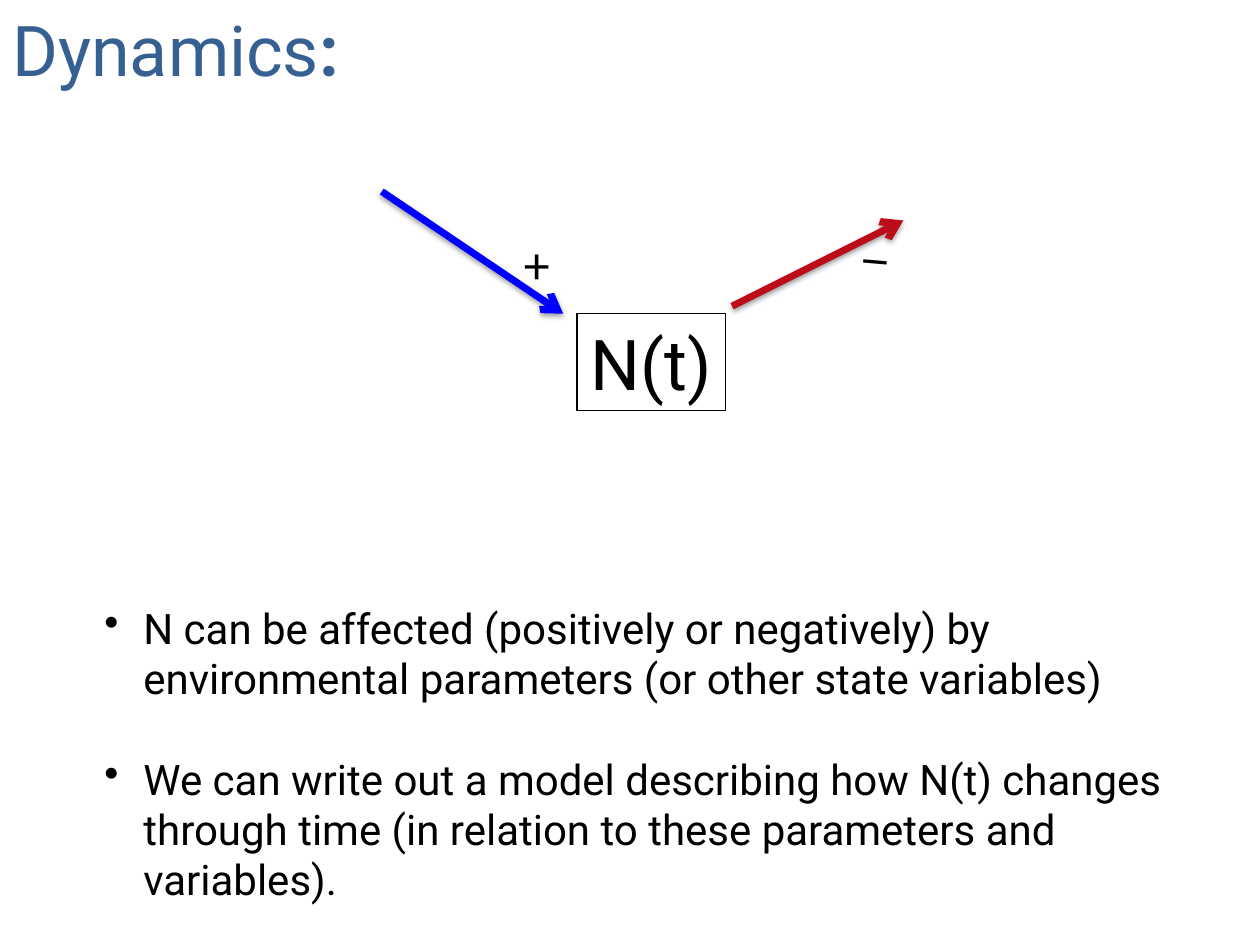
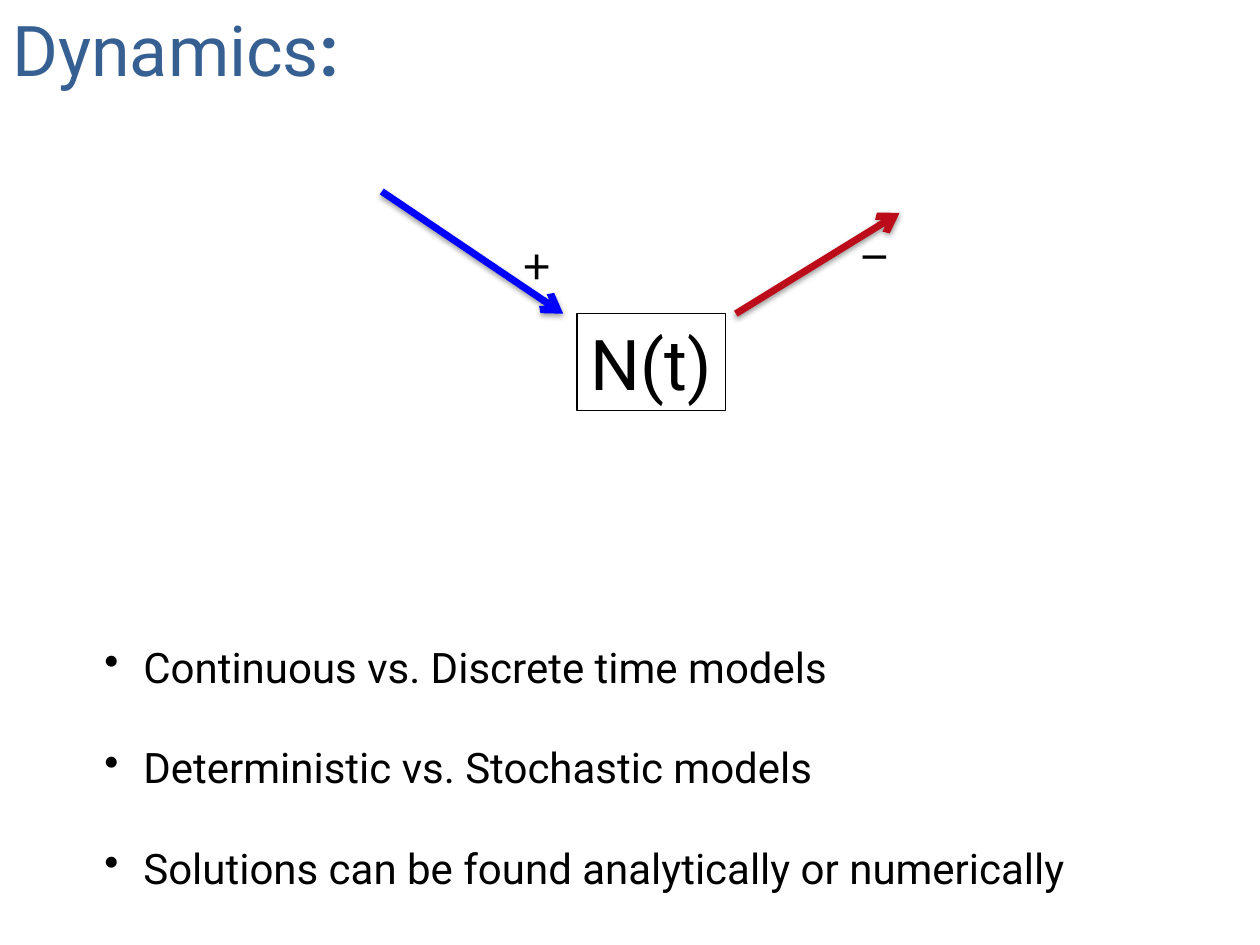
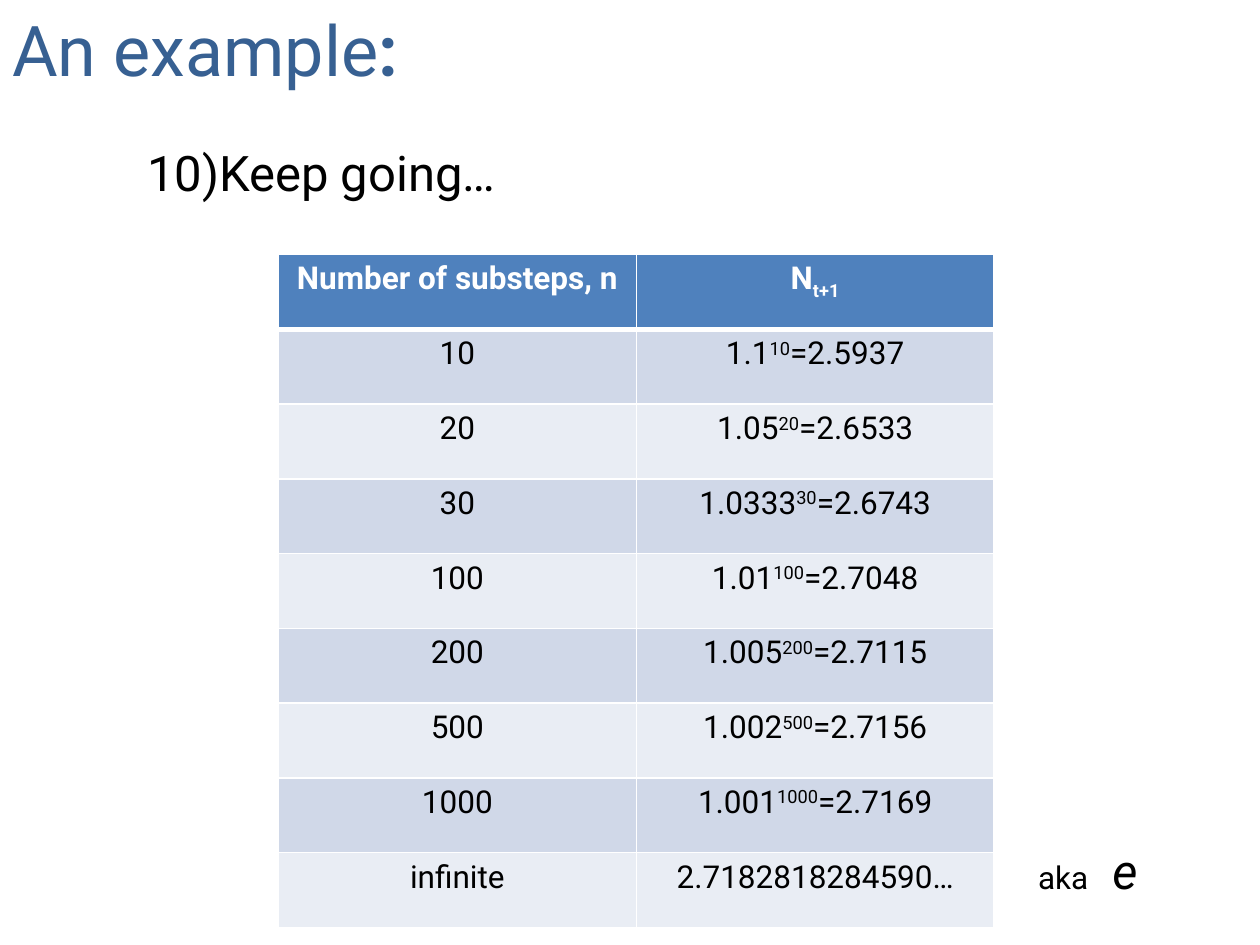
from dataclasses import dataclass

from lxml import etree
from pptx import Presentation
from pptx import util as u
from pptx.dml.color import RGBColor
from pptx.enum import shapes, text
from pptx.oxml import ns

PX = 9144


@dataclass(frozen=True)
class Theme:
    font: str = "Roboto"
    sign_font: str = "Noto Sans CJK JP"
    heading: str = "376092"
    ink: str = "000000"
    paper: str = "FFFFFF"
    gain: str = "0000FF"
    loss: str = "BD0C19"
    header: str = "4F81BD"
    bands: tuple[str, str] = ("D0D8E8", "E9EDF4")
    title_size: int = 40
    step_size: int = 28
    body_size: int = 24
    table_size: int = 18
    body_gap: float = 28.7


THEME = Theme()


@dataclass(frozen=True)
class Area:
    left: int
    top: int
    width: int
    height: int

    def emu(self) -> list[int]:
        return [px * PX for px in (self.left, self.top, self.width, self.height)]


@dataclass(frozen=True)
class Span:
    text: str
    baseline: int = 0
    bold: bool | None = None
    italic: bool | None = None
    size: int | None = None


@dataclass(frozen=True)
class Flow:
    start: tuple[int, int]
    end: tuple[int, int]
    color: str
    sign: str
    sign_area: Area
    rotation: float = 0


@dataclass(frozen=True)
class DynamicsPage:
    loss: Flow
    body: Area
    bullets: tuple[str, ...]


GAIN = Flow((303, 152), (447, 249), THEME.gain, "+", Area(406, 183, 40, 57))
STATE_AREA = Area(458, 249, 118, 77)

DYNAMICS_PAGES = (
    DynamicsPage(
        Flow((581, 243), (717, 175), THEME.loss, "−", Area(675, 181, 40, 57), 184.8),
        Area(73, 473, 888, 252),
        (
            "N can be affected (positively or negatively) by environmental "
            "parameters (or other state variables)",
            "We can write out a model describing how N(t) changes through time "
            "(in relation to these parameters and variables).",
        ),
    ),
    DynamicsPage(
        Flow((584, 249), (714, 169), THEME.loss, "−", Area(675, 177, 40, 57), 180),
        Area(73, 504, 886, 212),
        (
            "Continuous vs. Discrete time models",
            "Deterministic vs. Stochastic models",
            "Solutions can be found analytically or numerically",
        ),
    ),
)

POWERS = (
    ("1.1", "10", "2.5937"),
    ("1.05", "20", "2.6533"),
    ("1.0333", "30", "2.6743"),
    ("1.01", "100", "2.7048"),
    ("1.005", "200", "2.7115"),
    ("1.002", "500", "2.7156"),
    ("1.001", "1000", "2.7169"),
)


def add_xml(parent, tag: str, **attributes):
    return etree.SubElement(
        parent, ns.qn(tag), {key: str(value) for key, value in attributes.items()}
    )


def add_color(parent, color: str):
    return add_xml(parent, "a:srgbClr", val=color)


def write(para, spans: list[Span], size: int, color: str = THEME.ink,
          font: str = THEME.font, bold: bool | None = None) -> None:
    para.font.name = font
    para.font.size = u.Pt(size)
    para.font.bold = bold
    para.font.color.rgb = RGBColor.from_string(color)
    for span in spans:
        run = para.add_run()
        run.text = span.text
        if span.bold is not None:
            run.font.bold = span.bold
        if span.italic is not None:
            run.font.italic = span.italic
        if span.size is not None:
            run.font.size = u.Pt(span.size)
        if span.baseline:
            run._r.get_or_add_rPr().set("baseline", str(span.baseline * 1000))


def indent(para, width: int, bullet: str, **attributes) -> None:
    properties = para._p.get_or_add_pPr()
    properties.set("marL", str(width * PX))
    properties.set("indent", str(-width * PX))
    mark = etree.Element(ns.qn(bullet), attributes)
    properties.find(ns.qn("a:defRPr")).addprevious(mark)


def add_text(page, area: Area, wrap: bool = True):
    box = page.shapes.add_textbox(*area.emu())
    box.text_frame.word_wrap = wrap
    box.text_frame.auto_size = text.MSO_AUTO_SIZE.SHAPE_TO_FIT_TEXT
    return box


def add_page(deck, title: str, title_width: int):
    page = deck.slides.add_slide(deck.slide_layouts[6])
    box = add_text(page, Area(0, 0, title_width, 77), wrap=False)
    write(box.text_frame.paragraphs[0], [Span(title), Span(":", bold=True)],
          THEME.title_size, THEME.heading)
    return page


def add_state(page) -> None:
    box = page.shapes.add_shape(shapes.MSO_SHAPE.RECTANGLE, *STATE_AREA.emu())
    box.shadow.inherit = False
    box.fill.background()
    box.line.color.rgb = RGBColor.from_string(THEME.ink)
    box.line.width = u.Pt(0.75)
    box.text_frame.word_wrap = True
    para = box.text_frame.paragraphs[0]
    para.alignment = text.PP_ALIGN.CENTER
    write(para, [Span("N(t)")], THEME.title_size)


def add_flow(page, flow: Flow) -> None:
    ends = [px * PX for px in flow.start + flow.end]
    arrow = page.shapes.add_connector(shapes.MSO_CONNECTOR.STRAIGHT, *ends)
    arrow.line.color.rgb = RGBColor.from_string(flow.color)
    arrow.line.width = u.Pt(4)
    add_xml(arrow.line._get_or_add_ln(), "a:tailEnd", type="arrow")
    effects = add_xml(arrow._element.spPr, "a:effectLst")
    shadow = add_xml(effects, "a:outerShdw", blurRad=40000, dist=20000,
                     dir=5400000, rotWithShape=0)
    add_xml(add_color(shadow, THEME.ink), "a:alpha", val=38000)

    box = add_text(page, flow.sign_area, wrap=False)
    box.rotation = flow.rotation
    write(box.text_frame.paragraphs[0], [Span(flow.sign)], THEME.step_size,
          font=THEME.sign_font)


def add_bullets(page, area: Area, bullets: tuple[str, ...]) -> None:
    frame = add_text(page, area).text_frame
    for index, bullet in enumerate(bullets):
        para = frame.add_paragraph() if index else frame.paragraphs[0]
        if index:
            para.space_before = u.Pt(THEME.body_gap)
        write(para, [Span(bullet)], THEME.body_size)
        indent(para, 31, "a:buChar", char="•")


def add_dynamics(deck, content: DynamicsPage) -> None:
    page = add_page(deck, "Dynamics", 285)
    add_state(page)
    add_bullets(page, content.body, content.bullets)
    for flow in (GAIN, content.loss):
        add_flow(page, flow)


def style_cell(cell, spans: list[Span], fill: str, is_header: bool) -> None:
    para = cell.text_frame.paragraphs[0]
    para.alignment = text.PP_ALIGN.CENTER
    write(para, spans, THEME.table_size,
          THEME.paper if is_header else THEME.ink, bold=is_header)
    properties = cell._tc.get_or_add_tcPr()
    for side in ("a:lnL", "a:lnR", "a:lnT", "a:lnB"):
        width = 3 if is_header and side == "a:lnB" else 1
        border = add_xml(properties, side, w=u.Pt(width))
        add_color(add_xml(border, "a:solidFill"), THEME.paper)
    cell.fill.solid()
    cell.fill.fore_color.rgb = RGBColor.from_string(fill)


def add_substeps(page) -> None:
    rows = [([Span("Number of substeps, n")], [Span("N"), Span("t+1", -25)])]
    rows += [
        ([Span(count)], [Span(base), Span(count, 30), Span(f"={result}")])
        for base, count, result in POWERS
    ]
    rows.append(([Span("infinite")], [Span("2.7182818284590…")]))
    area = Area(221, 202, 568, 534)
    table = page.shapes.add_table(len(rows), 2, *area.emu()).table
    for row, contents in enumerate(rows):
        fill = THEME.bands[(row - 1) % 2] if row else THEME.header
        for column, spans in enumerate(contents):
            style_cell(table.cell(row, column), spans, fill, row == 0)


def add_example(deck) -> None:
    page = add_page(deck, "An example", 344)
    step = add_text(page, Area(107, 108, 832, 57)).text_frame.paragraphs[0]
    step.space_after = u.Pt(12)
    write(step, [Span("Keep going…")], THEME.step_size)
    indent(step, 56, "a:buAutoNum", type="arabicParenR", startAt="10")

    add_substeps(page)

    alias = add_text(page, Area(814, 662, 141, 57)).text_frame.paragraphs[0]
    write(alias, [Span("aka\t"), Span("e", italic=True, size=THEME.step_size)],
          THEME.table_size)
    stops = etree.Element(ns.qn("a:tabLst"))
    add_xml(stops, "a:tab", pos=59 * PX, algn="l")
    alias._p.get_or_add_pPr().find(ns.qn("a:defRPr")).addprevious(stops)


def main() -> None:
    deck = Presentation()
    deck.slide_width, deck.slide_height = 1000 * PX, 750 * PX
    for content in DYNAMICS_PAGES:
        add_dynamics(deck, content)
    add_example(deck)
    deck.save("out.pptx")


if __name__ == "__main__":
    main()
